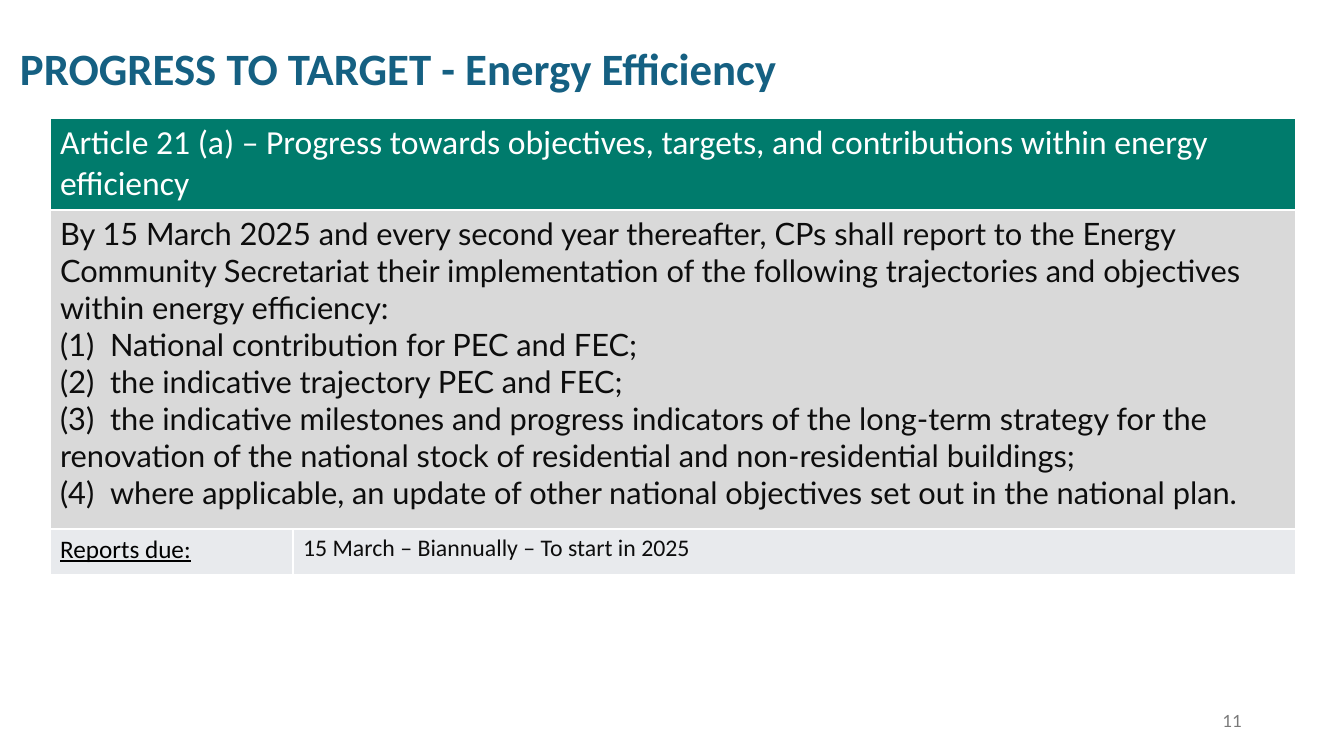
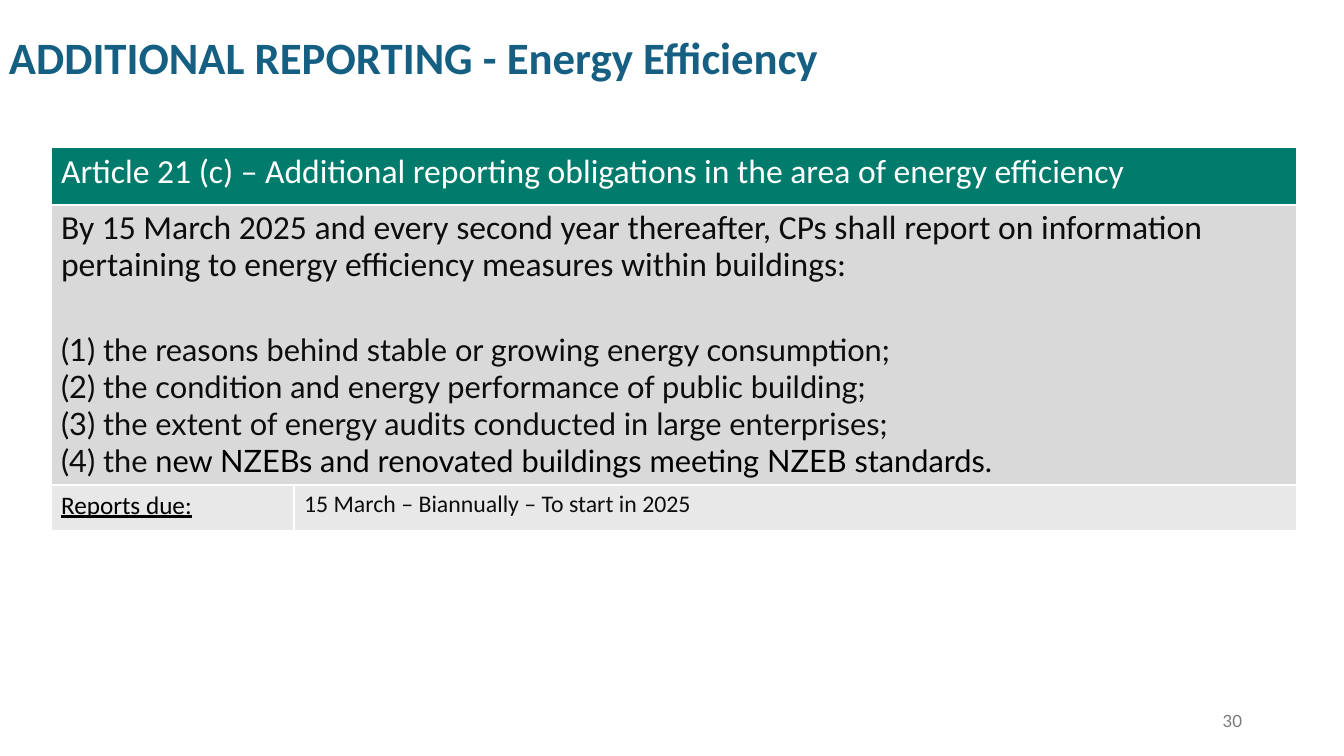
from dataclasses import dataclass

from lxml import etree
from pptx import Presentation
from pptx.dml.color import RGBColor
from pptx.enum import text as t
from pptx.oxml import ns
from pptx.util import Pt

SCALE = 914400 / 100.8


# Theme: colours and type styles shared by the slides
@dataclass(frozen=True)
class Theme:
    green: str = "007B6C"
    gray: str = "D9D9D9"
    white: str = "FFFFFF"
    title = dict(name="Calibri", size=Pt(32), bold=True, color="156082")
    head = dict(name="Calibri", size=Pt(24), color="FFFFFF")
    intro = dict(name="Calibri", size=Pt(24), color="0D0D0D")
    body = dict(name="Lato", size=Pt(22), color="0D0D0D")
    dark = dict(name="Lato", size=Pt(22), color="000000")
    label = dict(name="Calibri", size=Pt(18), underline=True, color="000000")
    due = dict(name="Calibri", size=Pt(17), color="0D0D0D")
    page = dict(name="Lato", size=Pt(12), color="797979")


THEME = Theme()
COLS = (243, 1003)


def px(n):
    return round(n * SCALE)


def style(font, fmt):
    for key, val in fmt.items():
        if key == "color":
            font.color.rgb = RGBColor.from_string(val)
        else:
            setattr(font, key, val)


# Paragraphs: each is (runs, format values, list kind)
def para(runs, kind=None, **fmt):
    return runs, fmt, kind


def mark(p, kind):
    props = p._p.get_or_add_pPr()
    if kind == "number":
        props.set("marL", str(px(50)))
        props.set("indent", str(-px(50)))
        etree.SubElement(props, ns.qn("a:buAutoNum"), type="arabicParenBoth")
    elif kind == "tab":
        tabs = etree.SubElement(props, ns.qn("a:tabLst"))
        etree.SubElement(tabs, ns.qn("a:tab"), pos=str(px(50)), algn="l")


def write(frame, paras):
    for i, (runs, fmt, kind) in enumerate(paras):
        p = frame.paragraphs[0] if i == 0 else frame.add_paragraph()
        mark(p, kind)
        for key, val in fmt.items():
            setattr(p, key, val)
        for words, look in runs:
            run = p.add_run()
            run.text = words
            style(run.font, look)


# Text boxes
def label(slide, box, words, look, **fmt):
    frame = slide.shapes.add_textbox(*map(px, box)).text_frame
    frame.word_wrap = True
    frame.vertical_anchor = t.MSO_ANCHOR.MIDDLE
    write(frame, [para([(words, look)], **fmt)])
    return frame


# Table cells
def edge(cell):
    props = cell._tc.get_or_add_tcPr()
    for i, side in enumerate(("lnL", "lnR", "lnT", "lnB")):
        line = etree.Element(ns.qn("a:" + side), w=str(Pt(1)))
        fill = etree.SubElement(line, ns.qn("a:solidFill"))
        etree.SubElement(fill, ns.qn("a:srgbClr"), val=THEME.white)
        props.insert(i, line)


def paint(cell, color):
    cell.fill.solid()
    cell.fill.fore_color.rgb = RGBColor.from_string(color)
    edge(cell)


def grid(slide, left, top, rows, head, body, tint):
    box = map(px, (left, top, sum(COLS), sum(rows)))
    table = slide.shapes.add_table(len(rows), len(COLS), *box).table
    table.first_row = table.horz_banding = False
    for col, wide in zip(table.columns, COLS):
        col.width = px(wide)
    for row, high, color in zip(table.rows, rows, (THEME.green, THEME.gray, tint)):
        row.height = px(high)
        for cell in row.cells:
            paint(cell, color)
    for i in range(2):
        table.cell(i, 0).merge(table.cell(i, 1))
    texts = {
        (0, 0): [para([(head, THEME.head)])],
        (1, 0): body,
        (2, 0): [para([("Reports due:", THEME.label)])],
        (2, 1): [para([("15 March – Biannually – To start in 2025", THEME.due)])],
    }
    for spot, paras in texts.items():
        write(table.cell(*spot).text_frame, paras)


# Slide with its title, table and page number
def page(deck, title, spot, number, **table):
    slide = deck.slides.add_slide(deck.slide_layouts[6])
    grid(slide, **table)
    label(slide, (950, 701, 302, 40), number, THEME.page,
          alignment=t.PP_ALIGN.RIGHT)
    frame = label(slide, (*spot, 1334, 59), title, THEME.title, line_spacing=0.9)
    frame.auto_size = t.MSO_AUTO_SIZE.SHAPE_TO_FIT_TEXT


def main():
    deck = Presentation()
    deck.slide_width, deck.slide_height = px(1344), px(756)
    body, dark = THEME.body, THEME.dark

    # Progress to target
    goals = [
        ("By 15 March 2025 and every second year thereafter, CPs shall report to the "
         "Energy Community Secretariat their implementation of the following "
         "trajectories and objectives within energy efficiency:", None),
        ("National contribution for PEC and FEC;", "number"),
        ("the indicative trajectory PEC and FEC;", "number"),
        ("(3)\tthe indicative milestones and progress indicators of the long-term "
         "strategy for the renovation of the national stock of residential and "
         "non-residential buildings;", "tab"),
        ("(4)\twhere applicable, an update of other national objectives set out in "
         "the national plan.", "tab"),
    ]
    page(deck, "PROGRESS TO TARGET - Energy Efficiency", (10, 41), "11",
         left=50, top=118, rows=(91, 319, 46), tint="E8EAED",
         head="Article 21 (a) – Progress towards objectives, targets, and "
              "contributions within energy efficiency",
         body=[para([(words, body)], kind) for words, kind in goals])

    # Additional reporting
    intro = ("By 15 March 2025 and every second year thereafter, CPs shall report on "
             "information pertaining to energy efficiency measures within buildings:")
    duties = [
        [("(1) the reasons behind stable or growing energy consumption;", body)],
        [("(2) the condition and energy performance of public building;", body)],
        [("(3) the extent of energy audits conducted in large enterprises;", body)],
        [("(4) the ", body),
         ("new NZEBs and renovated buildings meeting NZEB standards", dark),
         (".", body)],
    ]
    page(deck, "ADDITIONAL REPORTING - Energy Efficiency", (-1, 30), "30",
         left=51, top=147, rows=(58, 280, 46), tint="E8E8E8",
         head="Article 21 (c) – Additional reporting obligations in the area of "
              "energy efficiency",
         body=[para([(intro, THEME.intro)], line_spacing=0.9, space_after=Pt(34)),
               *map(para, duties)])

    deck.save("out.pptx")


if __name__ == "__main__":
    main()
